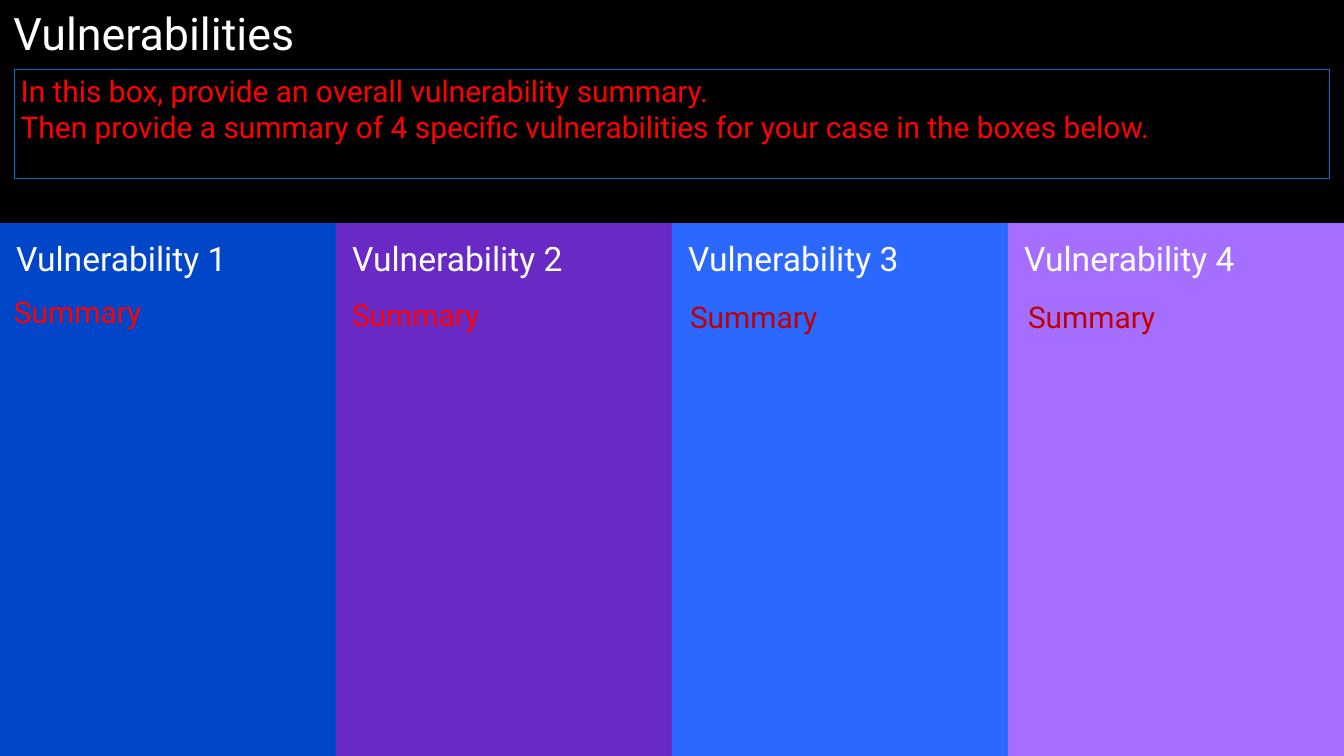
from dataclasses import dataclass
from pptx import Presentation, util as u
from pptx.dml.color import RGBColor
from pptx.enum import shapes, text


@dataclass
class Theme:
    font: str = "Roboto"
    back: str = "000000"
    white: str = "FFFFFF"
    red: str = "FF0000"
    dark: str = "C00000"
    line: str = "0070C0"
    cols: tuple = ("0146C9", "6929C4", "2B68FF", "A56EFF")
    title: int = 48
    head: int = 36
    body: int = 32


def write(shape, lines, size, color, pads=(0.1, 0.05, 0.1, 0.05)):
    """Fill a shape with left-aligned lines set from its top."""
    frame = shape.text_frame
    frame.word_wrap = True
    frame.auto_size = text.MSO_AUTO_SIZE.NONE
    frame.vertical_anchor = text.MSO_ANCHOR.TOP
    (frame.margin_left, frame.margin_top,
     frame.margin_right, frame.margin_bottom) = map(u.Inches, pads)
    for i, line in enumerate(lines):
        para = frame.paragraphs[0] if i == 0 else frame.add_paragraph()
        para.alignment = text.PP_ALIGN.LEFT
        run = para.add_run()
        run.text = line
        run.font.name = look.font
        run.font.size = u.Pt(size)
        run.font.color.rgb = RGBColor.from_string(color)


def block(left, top, width, height):
    """Add a plain rectangle without a shadow, placed in inches."""
    shape = slide.shapes.add_shape(
        shapes.MSO_SHAPE.RECTANGLE, *map(u.Inches, (left, top, width, height)))
    shape.shadow.inherit = False
    return shape


look = Theme()
wide, high = 20, 11.25
step = wide / len(look.cols)
top = 3.32

deck = Presentation()
deck.slide_width, deck.slide_height = u.Inches(wide), u.Inches(high)
slide = deck.slides.add_slide(deck.slide_layouts[5])
slide.background.fill.solid()
slide.background.fill.fore_color.rgb = RGBColor.from_string(look.back)

title = slide.shapes.title
title.left, title.top = 0, 0
title.width, title.height = u.Inches(wide), u.Inches(3.11)
write(title, ["Vulnerabilities"], look.title, look.white, (0.2, 0.18, 0.25, 0.25))
title.text_frame.paragraphs[0].line_spacing = 0.9

# Four equal columns
for i, color in enumerate(look.cols):
    col = block(i * step, top, step, high - top)
    col.fill.solid()
    col.fill.fore_color.rgb = RGBColor.from_string(color)
    col.line.fill.background()
    write(col, [f"Vulnerability {i + 1}"], look.head, look.white,
          (0.24, 0.22, 0.25, 0.25))

# Overall summary
box = block(0.21, 1.03, 19.57, 1.63)
box.fill.background()
box.line.color.rgb = RGBColor.from_string(look.line)
box.line.width = u.Pt(0.75)
write(box, ["In this box, provide an overall vulnerability summary.",
            "Then provide a summary of 4 specific vulnerabilities "
            "for your case in the boxes below."], look.body, look.red)

# One summary per column
for i in range(len(look.cols)):
    place = (0.11 + 5.03 * i, 4.32 + 0.04 * min(i, 2), 4.7, 0.64)
    note = slide.shapes.add_textbox(*map(u.Inches, place))
    write(note, ["Summary"], look.body, look.red if i < 2 else look.dark)

deck.save("out.pptx")
